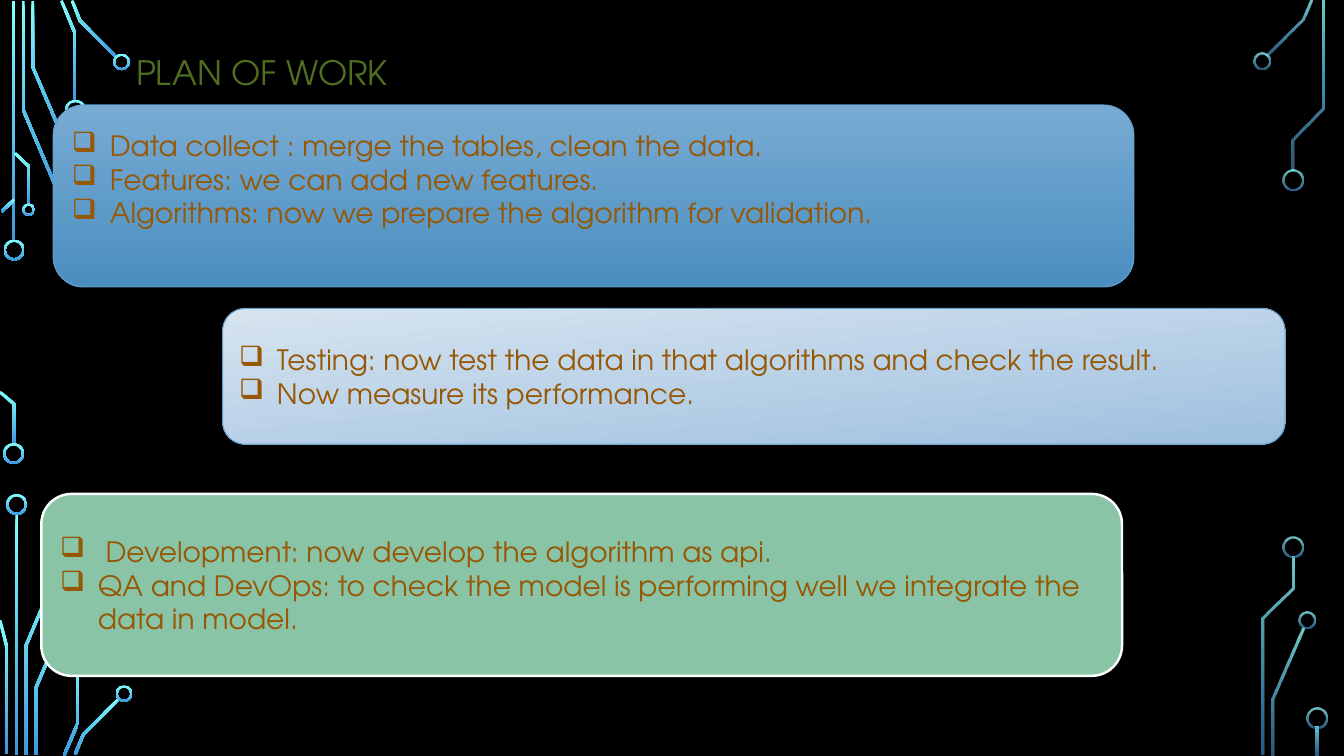
from math import hypot

from lxml.etree import SubElement
from pptx import Presentation
from pptx.dml.color import RGBColor
from pptx.enum.shapes import MSO_SHAPE as SHAPE
from pptx.enum.text import MSO_ANCHOR as ANCHOR, MSO_AUTO_SIZE as AUTO, PP_ALIGN as ALIGN
from pptx.oxml.ns import qn
from pptx.util import Pt

FONT = "TeX Gyre Adventor"
COLORS = {
    "background": "000000", "title": "4F6E1F", "text": "965804",
    "trace_top": "82FFFF", "trace_bottom": "3D97DE",
    "collect_top": "78ABD3", "collect_bottom": "4A8EC0",
    "test_top": "D7E4F0", "test_bottom": "9EC0DF",
    "develop": "8AC4A7", "blue_line": "63A0CC", "white_line": "FFFFFF",
}
TRACE_WIDTH = 2
RING_WIDTH = 1.5

# Each corner: left, top, opacities, traces (centre lines), rings (centre x, y, diameter)
CORNERS = [
    (0, 0, None,
     [[(9.7, 0.7), (9.7, 172.8)],
      [(16.6, 0.7), (16.6, 78.5), (43.9, 143)],
      [(23.4, 0.7), (23.4, 47.9), (51.1, 112.7)],
      [(43.9, 0.4), (53.6, 23.8), (53.6, 72)],
      [(51.5, 0.4), (57.2, 14.8), (83.2, 41)],
      [(1.1, 151.2), (10.1, 142.6)],
      [(0, 280), (10.1, 288.7), (10.1, 317.5)],
      [(10.8, 109.4), (20.9, 119.2), (20.9, 146.2)]],
     [(10.1, 178.6, 15), (9.7, 324, 15), (47.2, 149.4, 15), (53.9, 119.2, 15),
      (53.9, 78.8, 15), (86.8, 44.3, 12), (20.5, 149.8, 9)]),
    (0, 350, None,
     [[(11.9, 17.2), (11.9, 189.3)],
      [(18.4, 189), (18.4, 111.5), (45.7, 47)],
      [(4.7, 188.6), (4.7, 111.5), (0, 93)],
      [(25.6, 189.3), (25.6, 141.4), (52.9, 77.3)],
      [(45.7, 189.8), (55.8, 166.2), (55.8, 118)],
      [(53.6, 189), (59.4, 174.9), (85, 149)]],
     [(11.9, 10.4, 15), (88.6, 145.5, 12)]),
    (900, 0, (80, 60),
     [[(36.4, 0.4), (30.6, 14.2), (5, 40)],
      [(45, 0.7), (45, 77.4), (23.4, 99.7), (23.4, 121.7)]],
     [(1.4, 43.6, 12), (23.4, 128.9, 15)]),
    (900, 350, (80, 60),
     [[(9, 189.3), (9, 149.3), (30.6, 99)],
      [(23.8, 47.4), (23.8, 70.1), (2, 91.7), (2, 189.3)],
      [(40.7, 169.1), (40.7, 189.3)]],
     [(33.5, 93, 12), (23.8, 40.6, 15), (40.7, 162.6, 15)]),
]


def rgb(name):
    return RGBColor.from_string(COLORS[name])


def fill_gradient(sp, start, end, angle=270, opacities=None):
    """Angle is counter-clockwise degrees; opacities are percentages per stop."""
    sp.fill.gradient()
    sp.fill.gradient_angle = angle
    for stop, color in zip(sp.fill.gradient_stops, (start, end)):
        stop.color.rgb = rgb(color)
    if opacities:
        for clr, percent in zip(sp._element.spPr.iter(qn("a:srgbClr")), opacities):
            SubElement(clr, qn("a:alpha"), val=str(percent * 1000))


def trace_outline(points):
    """Return the mitred outline of a centre line, down one side and back up the other."""
    normals = []
    for (x1, y1), (x2, y2) in zip(points, points[1:]):
        length = hypot(x2 - x1, y2 - y1)
        normals.append(((y1 - y2) / length, (x2 - x1) / length))
    one_side, other_side = [], []
    for (x, y), (ax, ay), (bx, by) in zip(points, normals[:1] + normals, normals + normals[-1:]):
        scale = TRACE_WIDTH / 2 / (1 + ax * bx + ay * by)
        dx, dy = (ax + bx) * scale, (ay + by) * scale
        one_side.append((x + dx, y + dy))
        other_side.append((x - dx, y - dy))
    return one_side + other_side[::-1]


def add_circuit(s, left, top, opacities, traces, rings):
    parts = []
    for trace in traces:
        outline = [(Pt(left + x), Pt(top + y)) for x, y in trace_outline(trace)]
        builder = s.shapes.build_freeform(*outline[0])
        builder.add_line_segments(outline[1:], close=True)
        parts.append(builder.convert_to_shape())
    for x, y, size in rings:
        ring = s.shapes.add_shape(SHAPE.DONUT, Pt(left + x - size / 2), Pt(top + y - size / 2),
                                  Pt(size), Pt(size))
        ring.adjustments[0] = RING_WIDTH / size
        parts.append(ring)
    for sp in parts:
        sp.shadow.inherit = False
        sp.line.fill.background()
        fill_gradient(sp, "trace_top", "trace_bottom", opacities=opacities)


def add_title(s, text, left, top, width, height):
    title = s.shapes.title
    title.left, title.top, title.width, title.height = map(Pt, (left, top, width, height))
    tf = title.text_frame
    tf.text = text
    tf.auto_size = AUTO.NONE
    tf.vertical_anchor = ANCHOR.BOTTOM
    p = tf.paragraphs[0]
    p.alignment = ALIGN.LEFT
    p.line_spacing = 0.9
    p.font.name, p.font.size = FONT, Pt(24)
    p.font.color.rgb = rgb("title")


def add_step(s, box, items, line, line_width, align=ALIGN.LEFT, bottom_inset=3.6):
    sp = s.shapes.add_shape(SHAPE.ROUNDED_RECTANGLE, *map(Pt, box))
    sp.shadow.inherit = False
    sp.line.color.rgb = rgb(line)
    sp.line.width = Pt(line_width)
    tf = sp.text_frame
    tf.word_wrap = True
    tf.vertical_anchor = ANCHOR.MIDDLE
    tf.margin_bottom = Pt(bottom_inset)
    tf.text = "\n".join(items)
    for p in tf.paragraphs:
        p.alignment = align
        p.font.name, p.font.size = FONT, Pt(20)
        p.font.color.rgb = rgb("text")
        pPr = p._p.get_or_add_pPr()
        pPr.set("marL", str(Pt(27)))
        pPr.set("indent", str(-Pt(27)))
        bullet = pPr.makeelement(qn("a:buChar"), {"char": "❑"})
        pPr.insert(0, bullet)
    return sp


def add_plan_slide(prs):
    s = prs.slides.add_slide(prs.slide_layouts[5])
    s.background.fill.solid()
    s.background.fill.fore_color.rgb = rgb("background")
    for corner in CORNERS:
        add_circuit(s, *corner)
    add_title(s, "PLAN OF WORK", 90, 23, 780, 46.8)
    # The first list sits one line above the middle of its box
    collect = add_step(s, (38, 75, 772, 130), [
        "Data collect : merge the tables, clean the data.",
        "Features: we can add new features.",
        "Algorithms: now we prepare the algorithm for validation.",
    ], "blue_line", 0.75, ALIGN.JUSTIFY, bottom_inset=27.6)
    fill_gradient(collect, "collect_top", "collect_bottom")
    test = add_step(s, (159, 220.3, 759, 97), [
        "Testing: now test the data in that algorithms and check the result.",
        "Now measure its performance.",
    ], "blue_line", 0.75)
    fill_gradient(test, "test_top", "test_bottom", angle=276)
    develop = add_step(s, (29.5, 352.8, 772, 130), [
        " Development: now develop the algorithm as api.",
        "QA and DevOps: to check the model is performing well we integrate the data in model.",
    ], "white_line", 1.75)
    develop.fill.solid()
    develop.fill.fore_color.rgb = rgb("develop")


def main():
    prs = Presentation()
    prs.slide_width, prs.slide_height = Pt(960), Pt(540)
    add_plan_slide(prs)
    prs.save("out.pptx")


if __name__ == "__main__":
    main()
